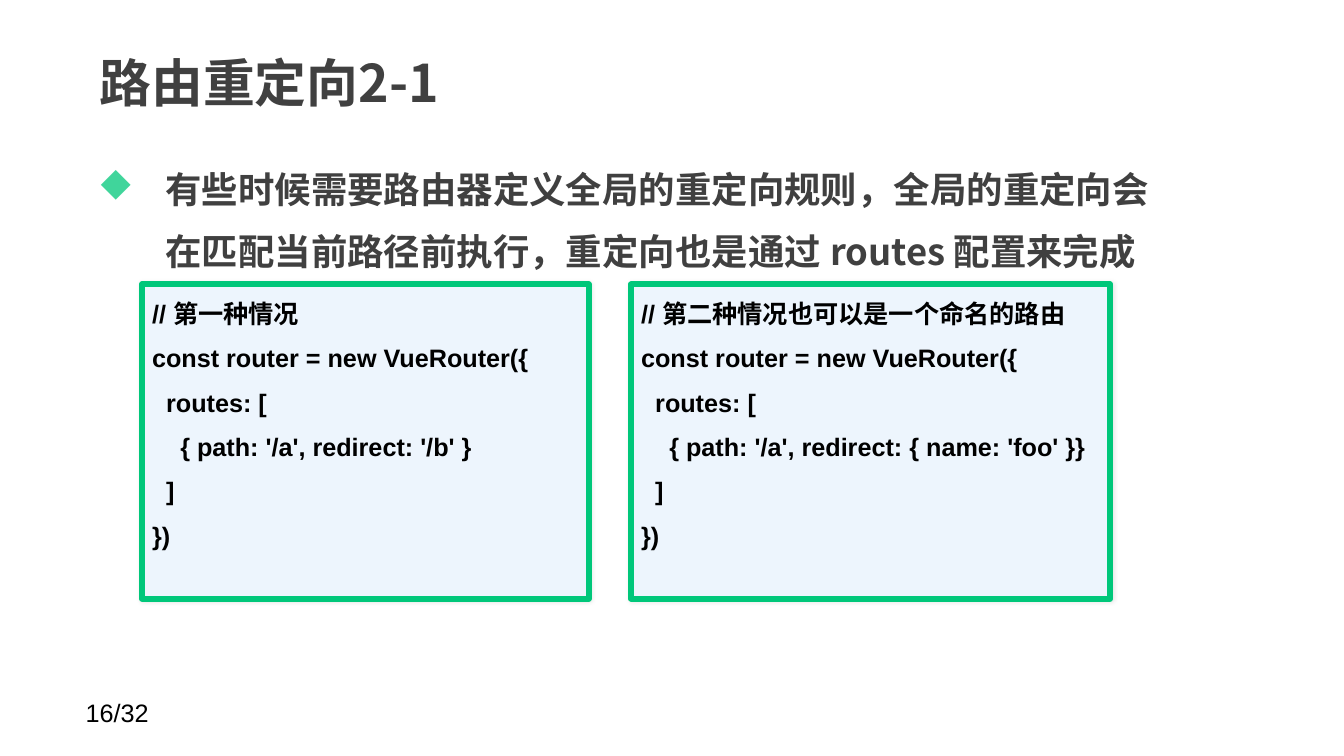
from lxml import etree
from pptx import Presentation
from pptx.dml.color import RGBColor
from pptx.enum.shapes import MSO_SHAPE
from pptx.enum.text import MSO_ANCHOR, PP_ALIGN
from pptx.oxml import parse_xml
from pptx.oxml.ns import nsdecls, qn
from pptx.util import Inches, Pt

DARK = RGBColor(0x40, 0x40, 0x40)
BLACK = RGBColor(0, 0, 0)
GREEN = RGBColor(0x00, 0xC7, 0x7A)
PALE = RGBColor(0xED, 0xF5, 0xFD)
CJK = "Noto Sans CJK SC"

TITLE = "路由重定向2-1"
BODY = "有些时候需要路由器定义全局的重定向规则，全局的重定向会在匹配当前路径前执行，重定向也是通过 routes 配置来完成"
PAGE_NUMBER = "16/32"
CASES = [
    (1.41, 4.43, "// 第一种情况", "{ path: '/a', redirect: '/b' }"),
    (6.26, 4.75, "// 第二种情况也可以是一个命名的路由", "{ path: '/a', redirect: { name: 'foo' }}"),
]
CODE_TOP, CODE_HEIGHT = 2.82, 3.12
CODE_HANG, CODE_STEP = 0.38, 0.14

HEADING = {"size": Pt(37), "bold": True, "name": CJK}
BULLET = {"size": Pt(26), "bold": True, "name": CJK}
CODE = {"size": Pt(18), "bold": True, "name": "Arial"}
NUMBER = {"size": Pt(18), "bold": False, "name": "Arial"}
WIDE_INSETS = {"margin_left": Inches(0.13), "margin_right": Inches(0.13),
               "margin_top": Inches(0.06), "margin_bottom": Inches(0.06)}


def apply(target, values):
    for name, value in values.items():
        setattr(target, name, value)


def write(para, text, font, color):
    span = para.add_run()
    span.text = text
    apply(span.font, font)
    span.font.color.rgb = color
    east_asian = etree.SubElement(span.font._element, qn("a:ea"))
    east_asian.set("typeface", CJK)
    para.alignment = PP_ALIGN.LEFT


def space(para, line_spacing, left, hang):
    para.line_spacing = line_spacing
    properties = para._p.get_or_add_pPr()
    properties.set("marL", str(Inches(left)))
    properties.set("indent", str(-Inches(hang)))
    before = parse_xml(f'<a:spcBef {nsdecls("a")}><a:spcPct val="20000"/></a:spcBef>')
    properties.find(qn("a:lnSpc")).addnext(before)
    return properties


def add_text(page, place, text, font, color, frame_format):
    box = page.shapes.add_textbox(*map(Inches, place))
    apply(box.text_frame, {"word_wrap": True, **frame_format})
    para = box.text_frame.paragraphs[0]
    write(para, text, font, color)
    return para


def add_code(page, left, width, heading, rule):
    box = page.shapes.add_shape(MSO_SHAPE.ROUNDED_RECTANGLE, Inches(left), Inches(CODE_TOP),
                                Inches(width), Inches(CODE_HEIGHT))
    box.adjustments[0] = 0
    box.fill.solid()
    box.fill.fore_color.rgb = PALE
    box.line.color.rgb = GREEN
    box.line.width = Pt(4)
    box.shadow.inherit = False
    effects = box._element.spPr.find(qn("a:effectLst"))
    effects.append(parse_xml(
        f'<a:outerShdw {nsdecls("a")} blurRad="{Pt(3)}" dist="0" dir="0">'
        '<a:srgbClr val="000000"><a:alpha val="10000"/></a:srgbClr></a:outerShdw>'))
    frame = box.text_frame
    apply(frame, {"word_wrap": True, "vertical_anchor": MSO_ANCHOR.TOP})
    lines = [(0, heading), (0, "const router = new VueRouter({"), (1, "routes: ["),
             (2, rule), (1, "]"), (0, "})")]
    for index, (level, text) in enumerate(lines):
        para = frame.add_paragraph() if index else frame.paragraphs[0]
        write(para, text, CODE, BLACK)
        space(para, 1.3, CODE_HANG + level * CODE_STEP, CODE_HANG)


def main():
    deck = Presentation()
    deck.slide_width, deck.slide_height = Inches(13.33), Inches(7.5)
    page = deck.slides.add_slide(deck.slide_layouts[6])
    add_text(page, (0.75, 6.87, 2.33, 0.4), PAGE_NUMBER, NUMBER, BLACK, {})
    add_text(page, (0.86, 0.3, 10.41, 1.03), TITLE, HEADING, DARK,
             {**WIDE_INSETS, "vertical_anchor": MSO_ANCHOR.MIDDLE})
    para = add_text(page, (0.84, 1.43, 10.89, 5.27), BODY, BULLET, DARK, WIDE_INSETS)
    properties = space(para, 1.4, 0.67, 0.67)
    for mark in ('<a:buClr {}><a:srgbClr val="40D59B"/></a:buClr>',
                 '<a:buFont {} typeface="Wingdings" charset="2"/>',
                 '<a:buChar {} char="u"/>'):
        properties.append(parse_xml(mark.format(nsdecls("a"))))
    for case in CASES:
        add_code(page, *case)
    deck.save("out.pptx")


if __name__ == "__main__":
    main()
